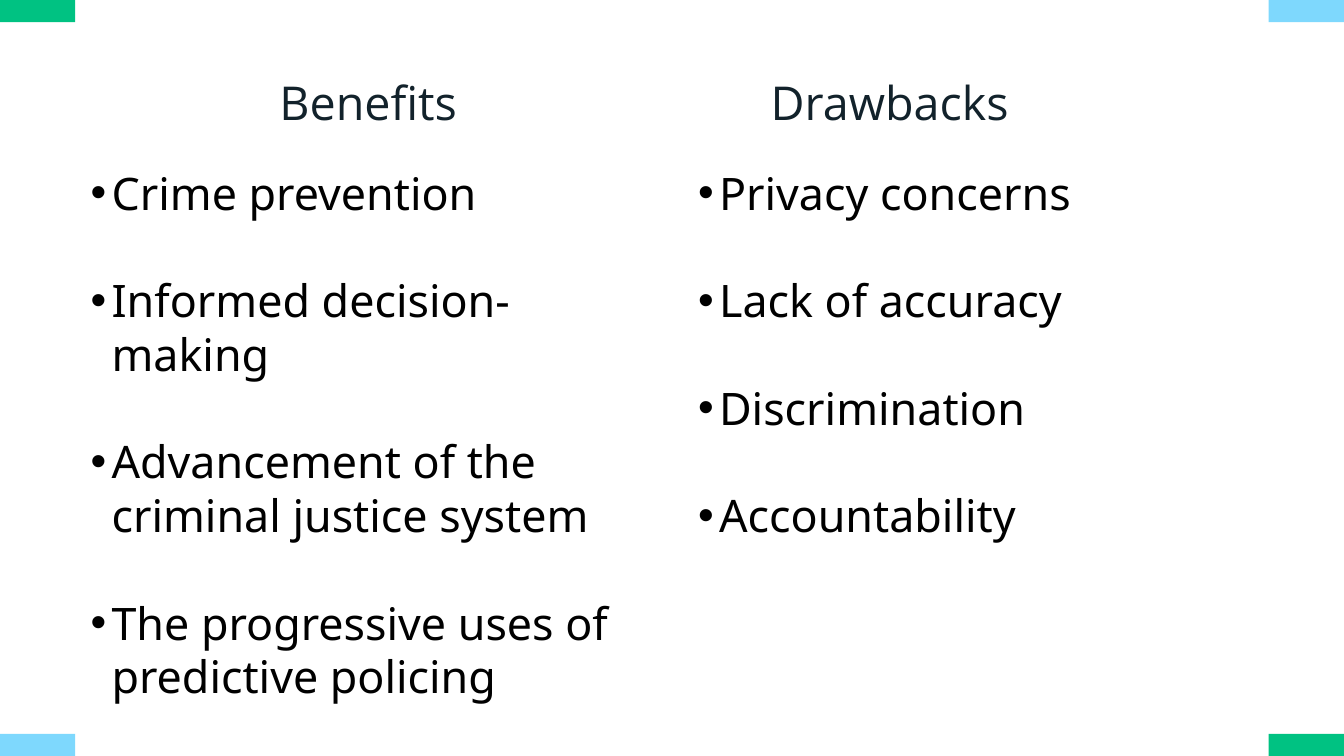
from lxml.etree import SubElement
from pptx import Presentation
from pptx.dml.color import RGBColor
from pptx.enum.shapes import MSO_SHAPE as SHAPE
from pptx.enum.text import MSO_ANCHOR as ANCHOR, MSO_AUTO_SIZE as AUTO, PP_ALIGN as ALIGN
from pptx.oxml.ns import qn
from pptx.util import Inches, Pt

WIDTH, HEIGHT = 20, 11.25
BAR_W, BAR_H = 1.12, 0.33
GREEN, BLUE, INK, BLACK = "00C282", "7ED8FD", "12222B", "000000"
BENEFITS = [
    "Crime prevention",
    "Informed decision-making",
    "Advancement of the criminal justice system",
    "The progressive uses of predictive policing",
]
DRAWBACKS = ["Privacy concerns", "Lack of accuracy", "Discrimination", "Accountability"]


def rgb(value):
    """Return the colour for a hex string."""
    return RGBColor.from_string(value)


def place(sp, x, y, w, h):
    """Move and size a shape, in inches."""
    sp.left, sp.top, sp.width, sp.height = map(Inches, (x, y, w, h))


def add_bar(s, x, y, color):
    """Draw one corner bar."""
    sp = s.shapes.add_shape(SHAPE.RECTANGLE, *map(Inches, (x, y, BAR_W, BAR_H)))
    sp.shadow.inherit = False
    sp.fill.solid()
    sp.fill.fore_color.rgb = rgb(color)
    sp.line.fill.background()


def set_frame(tf, side=0.0, top=0.0):
    """Set insets, wrapping and anchor of a text frame."""
    tf.word_wrap = True
    tf.auto_size = AUTO.NONE
    tf.vertical_anchor = ANCHOR.TOP
    tf.margin_left = tf.margin_right = Inches(side)
    tf.margin_top, tf.margin_bottom = Inches(top), 0


def write(p, text, *, size, font, color, spacing, after=0):
    """Write a formatted run and return its paragraph properties."""
    p.alignment = ALIGN.LEFT
    p.line_spacing, p.space_before, p.space_after = Pt(spacing), Pt(0), Pt(after)
    r = p.add_run()
    r.text = text
    r.font.size, r.font.name = Pt(size), font
    r.font.color.rgb = rgb(color)
    return p._p.get_or_add_pPr()


def add_headings(sp, headings):
    """Fill the title with headings centred on tab stops."""
    place(sp, 1.12, 1.12, 17.12, 0.82)
    set_frame(sp.text_frame)
    text = "".join(f"\t{name}" for name in headings)
    pr = write(sp.text_frame.paragraphs[0], text, size=50, font="Open Sans",
               color=INK, spacing=58)
    tabs = SubElement(pr, qn("a:tabLst"))
    for center in headings.values():
        SubElement(tabs, qn("a:tab"), pos=str(Inches(center)), algn="ctr")


def add_list(sp, x, h, items):
    """Fill a body placeholder with a bulleted list."""
    place(sp, x, 2.34, 8.58, h)
    tf = sp.text_frame
    set_frame(tf, side=0.1, top=0.12)
    for i, item in enumerate(items):
        p = tf.add_paragraph() if i else tf.paragraphs[0]
        gap = 57.6 if i < len(items) - 1 else 0
        pr = write(p, item, size=48, font="Noto Sans", color=BLACK,
                   spacing=57.6, after=gap)
        pr.set("marL", str(Inches(0.31)))
        pr.set("indent", str(-Inches(0.31)))
        SubElement(pr, qn("a:buFont"), typeface="Arial")
        SubElement(pr, qn("a:buChar"), char="•")


def main():
    """Build and save the slide."""
    prs = Presentation()
    prs.slide_width, prs.slide_height = Inches(WIDTH), Inches(HEIGHT)
    s = prs.slides.add_slide(prs.slide_layouts[3])
    right, bottom = WIDTH - BAR_W, HEIGHT - BAR_H
    for x, y, color in [(0, bottom, BLUE), (right, 0, BLUE),
                        (0, 0, GREEN), (right, bottom, GREEN)]:
        add_bar(s, x, y, color)
    title, left_list, right_list = s.placeholders
    add_headings(title, {"Benefits": 4.36, "Drawbacks": 12.12})
    add_list(left_list, 1.25, 8.18, BENEFITS)
    add_list(right_list, 10.29, 5.76, DRAWBACKS)
    prs.save("out.pptx")


if __name__ == "__main__":
    main()
